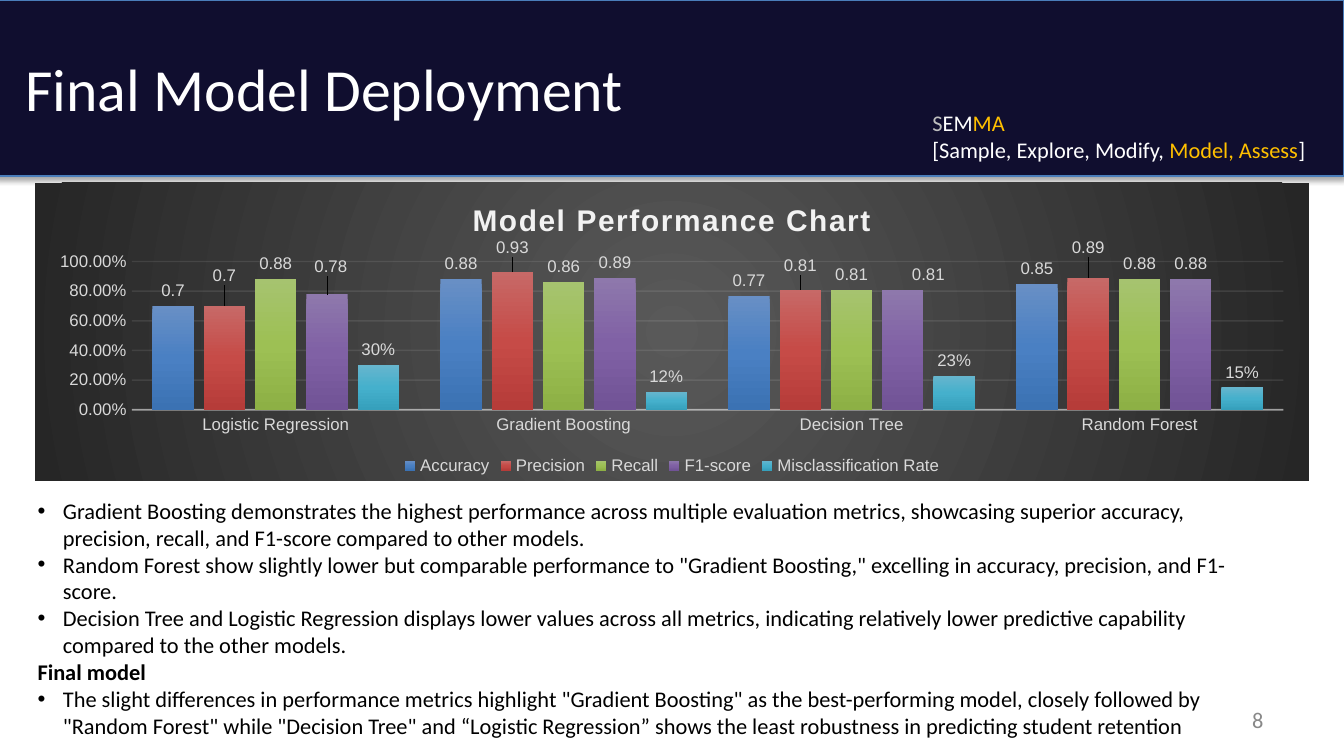
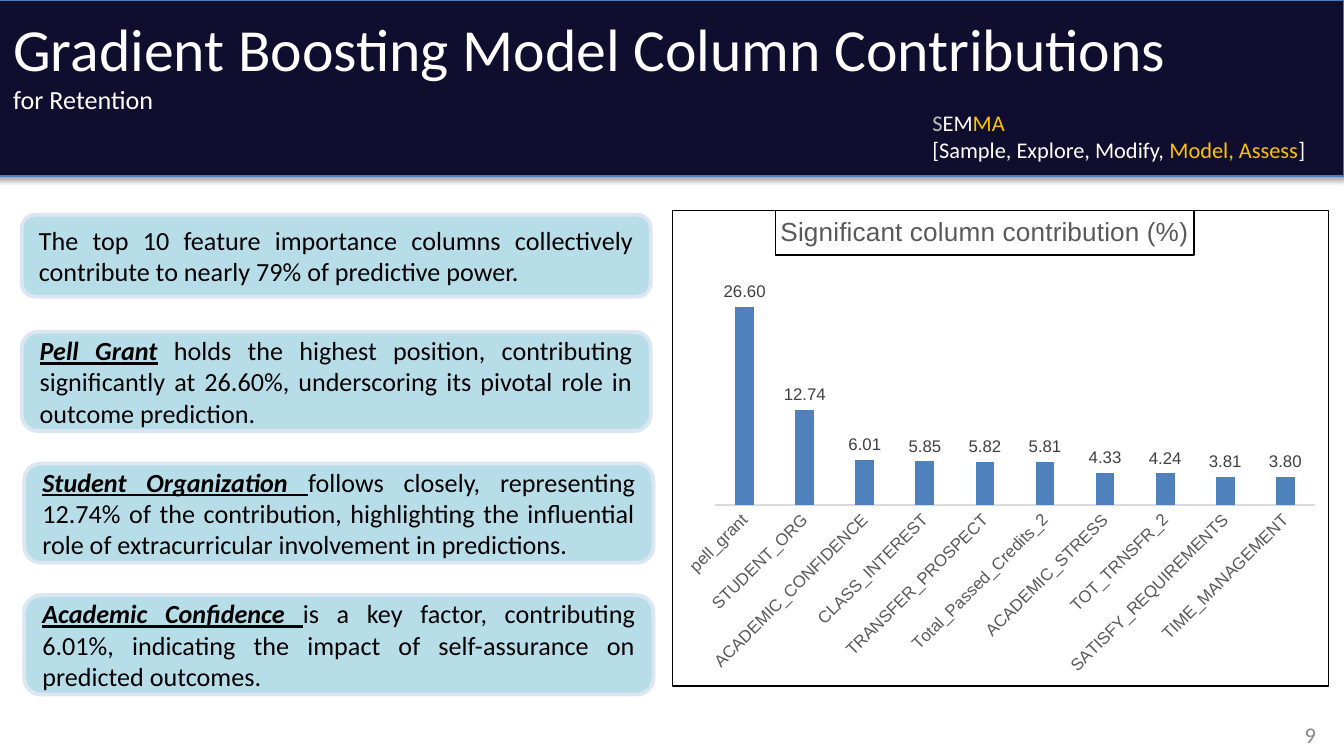
from pptx import Presentation
from pptx.chart.data import CategoryChartData
from pptx.dml.color import RGBColor
from pptx.enum.chart import XL_CHART_TYPE, XL_LABEL_POSITION, XL_LEGEND_POSITION, XL_TICK_MARK
from pptx.enum.shapes import MSO_SHAPE
from pptx.enum.text import MSO_ANCHOR, PP_ALIGN
from pptx.oxml import parse_xml
from pptx.oxml.ns import nsdecls
from pptx.util import Cm, Pt

COLUMNS = XL_CHART_TYPE.COLUMN_CLUSTERED
OUTSIDE_END = XL_LABEL_POSITION.OUTSIDE_END
LEGEND_BOTTOM = XL_LEGEND_POSITION.BOTTOM
NO_TICK = XL_TICK_MARK.NONE
RECTANGLE = MSO_SHAPE.RECTANGLE
ROUNDED = MSO_SHAPE.ROUNDED_RECTANGLE
TOP, MIDDLE = MSO_ANCHOR.TOP, MSO_ANCHOR.MIDDLE
LEFT, RIGHT, JUSTIFY = PP_ALIGN.LEFT, PP_ALIGN.RIGHT, PP_ALIGN.JUSTIFY

NAVY = RGBColor(0x10, 0x0E, 0x2F)
BAND_EDGE = RGBColor(0x4A, 0x7D, 0xBA)
WHITE = RGBColor(0xFF, 0xFF, 0xFF)
BLACK = RGBColor(0x00, 0x00, 0x00)
SILVER = RGBColor(0xBF, 0xBF, 0xBF)
GOLD = RGBColor(0xFF, 0xC0, 0x00)
PAGE_GRAY = RGBColor(0x88, 0x88, 0x88)
CARD_FILL = RGBColor(0xB7, 0xDE, 0xE8)
CARD_EDGE = RGBColor(0xDC, 0xE6, 0xF2)
PALE = RGBColor(0xF2, 0xF2, 0xF2)
LIGHT_GRAY = RGBColor(0xD9, 0xD9, 0xD9)
MID_GRAY = RGBColor(0x59, 0x59, 0x59)
LABEL_GRAY = RGBColor(0x40, 0x40, 0x40)
BAR_BLUE = RGBColor(0x4F, 0x81, 0xBD)

MODELS = ["Logistic Regression", "Gradient Boosting", "Decision Tree", "Random Forest"]
METRICS = [
    ("Accuracy", [0.7, 0.88, 0.77, 0.85], ("688FC5", "4A80C3", "3B72B3")),
    ("Precision", [0.7, 0.93, 0.81, 0.89], ("C76967", "C64B47", "B63C39")),
    ("Recall", [0.88, 0.86, 0.81, 0.88], ("A6C36F", "9DC054", "8DB045")),
    ("F1-score", [0.78, 0.89, 0.81, 0.88], ("8E78AC", "8061A5", "715396")),
    ("Misclassification Rate", [0.3, 0.12, 0.23, 0.15], ("66B5CD", "45B0CC", "36A0BC")),
]
LABEL_SHIFTS = {
    1: {0: (0, -0.05), 1: (0, -0.03), 2: (0, -0.03), 3: (0, -0.05)},
    3: {0: (0.003, -0.04), 2: (0.02, 0)},
}
CONTRIBUTIONS = {
    "pell_grant": 26.6,
    "STUDENT_ORG": 12.74,
    "ACADEMIC_CONFIDENCE": 6.01,
    "CLASS_INTEREST": 5.85,
    "TRANSFER_PROSPECT": 5.82,
    "Total_Passed_Credits_2": 5.81,
    "ACADEMIC_STRESS": 4.33,
    "TOT_TRNSFR_2": 4.24,
    "SATISFY_REQUIREMENTS": 3.81,
    "TIME_MANAGEMENT": 3.8,
}
FINDINGS = [
    "Gradient Boosting demonstrates the highest performance across multiple evaluation metrics, "
    "showcasing superior accuracy, precision, recall, and F1-score compared to other models.",
    "Random Forest show slightly lower but comparable performance to \"Gradient Boosting,\" "
    "excelling in accuracy, precision, and F1-score.",
    "Decision Tree and Logistic Regression displays lower values across all metrics, "
    "indicating relatively lower predictive capability compared to the other models.",
]
CONCLUSION = (
    "The slight differences in performance metrics highlight \"Gradient Boosting\" as the "
    "best-performing model, closely followed by \"Random Forest\" while \"Decision Tree\" and "
    "“Logistic Regression” shows the least robustness in predicting student retention"
)
CARDS = [
    (0.41, 6.27, "Pell Grant", " holds the highest position, contributing significantly at "
     "26.60%, underscoring its pivotal role in outcome prediction."),
    (0.46, 8.76, "Student Organization ", "follows closely, representing 12.74% of the "
     "contribution, highlighting the influential role of extracurricular involvement in predictions."),
    (0.46, 11.25, "Academic Confidence ", "is a key factor, contributing 6.01%, indicating "
     "the impact of self-assurance on predicted outcomes."),
]


def format_font(font, size, color, name="Calibri", bold=False):
    font.name = name
    font.size = Pt(size)
    font.bold = bold
    font.color.rgb = color


def add_run(paragraph, text, size=12, color=BLACK, bold=False, emphasis=False):
    run = paragraph.add_run()
    run.text = text
    format_font(run.font, size, color, bold=bold or emphasis)
    run.font.italic = run.font.underline = emphasis


def next_paragraph(frame, alignment=LEFT, bullet=False):
    paragraph = frame.paragraphs[0]
    if paragraph.runs:
        paragraph = frame.add_paragraph()
    paragraph.alignment = alignment
    if bullet:
        properties = paragraph._p.get_or_add_pPr()
        properties.set("marL", str(Cm(0.48)))
        properties.set("indent", str(-Cm(0.48)))
        properties.append(parse_xml(f'<a:buFont {nsdecls("a")} typeface="Arial"/>'))
        properties.append(parse_xml(f'<a:buChar {nsdecls("a")} char="•"/>'))
    return paragraph


def add_text_frame(slide, left, top, width, height, anchor=MIDDLE):
    box = slide.shapes.add_textbox(Cm(left), Cm(top), Cm(width), Cm(height))
    box.text_frame.word_wrap = True
    box.text_frame.vertical_anchor = anchor
    return box.text_frame


def add_panel(slide, kind, left, top, width, height, fill, edge, weight):
    shape = slide.shapes.add_shape(kind, Cm(left), Cm(top), Cm(width), Cm(height))
    shape.shadow.inherit = False
    shape.fill.solid()
    shape.fill.fore_color.rgb = fill
    shape.line.color.rgb = edge
    shape.line.width = Pt(weight)
    return shape


def add_band(slide):
    band = add_panel(slide, RECTANGLE, -0.1, 0, 25.5, 3.33, NAVY, BAND_EDGE, 0.75)
    effects = band._element.spPr.xpath("a:effectLst")[0]
    effects.append(parse_xml(
        f'<a:outerShdw {nsdecls("a")} blurRad="{Pt(3.1)}" dist="{Pt(1.8)}" dir="5400000" '
        'rotWithShape="0"><a:srgbClr val="000000"><a:alpha val="34000"/></a:srgbClr></a:outerShdw>'))


def add_process_tag(slide):
    paragraph = next_paragraph(add_text_frame(slide, 17.37, 1.93, 8.03, 1.27))
    for text, color in (("S", SILVER), ("EM", WHITE), ("MA", GOLD)):
        add_run(paragraph, text, color=color)
    paragraph.add_line_break()
    for text, color in (("[Sample, Explore, Modify, ", WHITE), ("Model, Assess", GOLD), ("]", WHITE)):
        add_run(paragraph, text, color=color)


def add_page_number(slide, left, top, number):
    frame = add_text_frame(slide, left, top, 5.92, 0.76)
    add_run(next_paragraph(frame, RIGHT), number, color=PAGE_GRAY)


def add_card(slide, left, top, height, lead, text):
    card = add_panel(slide, ROUNDED, left, top, 11.89, height, CARD_FILL, CARD_EDGE, 2)
    card.text_frame.word_wrap = True
    card.text_frame.vertical_anchor = MIDDLE
    paragraph = next_paragraph(card.text_frame, JUSTIFY)
    if lead:
        add_run(paragraph, lead, size=14, emphasis=True)
    add_run(paragraph, text, size=14)


def gradient(stops, direction):
    marks = "".join(f'<a:gs pos="{position * 1000}"><a:srgbClr val="{color}"/></a:gs>'
                    for position, color in stops)
    return f'<a:gradFill {nsdecls("a")} rotWithShape="1"><a:gsLst>{marks}</a:gsLst>{direction}</a:gradFill>'


def set_layout(parent, index, **values):
    for old_layout in parent.xpath("c:layout"):
        parent.remove(old_layout)
    items = "".join(f'<c:{key} val="{value}"/>' for key, value in values.items())
    parent.insert(index, parse_xml(
        f'<c:layout {nsdecls("c")}><c:manualLayout>{items}</c:manualLayout></c:layout>'))


def set_plot_area(chart, x, y, w, h):
    set_layout(chart.element.xpath("//c:plotArea")[0], 0, layoutTarget="inner",
               xMode="edge", yMode="edge", x=x, y=y, w=w, h=h)


def style_chart_area(chart, fill, line):
    chart.element.xpath("c:chart")[0].addnext(parse_xml(
        f'<c:spPr {nsdecls("c", "a")}>{fill}<a:ln w="{Pt(0.75)}">{line}</a:ln></c:spPr>'))


def set_alpha(chart, parent, percent):
    color = chart.element.xpath(f"//c:{parent}/c:spPr//a:srgbClr")[0]
    color.append(parse_xml(f'<a:alpha {nsdecls("a")} val="{percent * 1000}"/>'))


def add_column_chart(slide, left, top, width, height, categories, series, title, title_size,
                     title_color, title_bold, text_color, label_color, axis_color, gap, overlap):
    data = CategoryChartData()
    data.categories = categories
    for name, values in series:
        data.add_series(name, values)
    chart = slide.shapes.add_chart(COLUMNS, Cm(left), Cm(top), Cm(width), Cm(height), data).chart
    format_font(chart.font, 10, BLACK, "Arial")
    chart.has_legend = False
    chart.has_title = True
    paragraph = chart.chart_title.text_frame.paragraphs[0]
    run = paragraph.add_run()
    run.text = title
    format_font(run.font, title_size, title_color, "Arial", title_bold)

    plot = chart.plots[0]
    plot.gap_width = gap
    plot.overlap = overlap
    plot.vary_by_categories = False
    for column in plot.series:
        column.invert_if_negative = False
        labels = column.data_labels
        labels.show_value = True
        labels.position = OUTSIDE_END
        format_font(labels.font, 9, label_color, "Arial")

    axis = chart.category_axis
    axis.major_tick_mark = NO_TICK
    format_font(axis.tick_labels.font, 9, text_color, "Arial")
    axis.format.line.color.rgb = axis_color
    chart.value_axis.major_tick_mark = NO_TICK
    chart.value_axis.minimum_scale = 0
    return chart


def set_label_format(series, number_format):
    series.data_labels.number_format = number_format
    series.data_labels.number_format_is_linked = False


def add_performance_chart(slide):
    chart = add_column_chart(
        slide, 0.66, 3.45, 24.08, 5.64, MODELS, [metric[:2] for metric in METRICS],
        "Model Performance Chart", 16, PALE, True, LIGHT_GRAY, LIGHT_GRAY, PALE, 100, -24)
    chart.element.xpath("//c:title//a:r/a:rPr")[0].set("spc", "100")
    center = '<a:path path="circle"><a:fillToRect l="50000" t="50000" r="50000" b="50000"/></a:path>'
    style_chart_area(chart, gradient([(0, "595959"), (100, "262626")], center), "<a:noFill/>")
    set_plot_area(chart, 0.076, 0.265, 0.904, 0.497)

    chart.category_axis.format.line.width = Pt(1)
    set_alpha(chart, "catAx", 54)
    axis = chart.value_axis
    axis.maximum_scale = 1
    axis.major_unit = 0.2
    axis.tick_labels.number_format = "0.00%"
    axis.tick_labels.number_format_is_linked = False
    format_font(axis.tick_labels.font, 9, LIGHT_GRAY, "Arial")
    axis.format.line.fill.background()
    axis.major_gridlines.format.line.color.rgb = PALE
    axis.major_gridlines.format.line.width = Pt(0.75)
    set_alpha(chart, "majorGridlines", 10)

    chart.has_legend = True
    chart.legend.position = LEGEND_BOTTOM
    chart.legend.include_in_layout = False
    format_font(chart.legend.font, 9, LIGHT_GRAY, "Arial")

    for index, (series, metric) in enumerate(zip(chart.plots[0].series, METRICS)):
        series.format.fill.solid()
        series.format.fill.fore_color.rgb = BAR_BLUE
        solid = series._element.xpath("c:spPr/a:solidFill")[0]
        fill = gradient(zip((0, 50, 100), metric[2]), '<a:lin ang="5400000" scaled="0"/>')
        solid.getparent().replace(solid, parse_xml(fill))
        for point, (x, y) in LABEL_SHIFTS.get(index, {}).items():
            label = series.points[point].data_label
            label.position = OUTSIDE_END
            format_font(label.font, 9, LIGHT_GRAY, "Arial")
            set_layout(series._element.xpath(f"c:dLbls/c:dLbl[c:idx/@val='{point}']")[0], 1, x=x, y=y)
    set_label_format(chart.plots[0].series[-1], "0%")


def add_contribution_chart(slide):
    chart = add_column_chart(
        slide, 12.7, 3.96, 12.42, 9.02, list(CONTRIBUTIONS), [("Series 1", list(CONTRIBUTIONS.values()))],
        "Significant column contribution (%)", 14, MID_GRAY, False, MID_GRAY, LABEL_GRAY, LIGHT_GRAY, 219, -27)
    style_chart_area(chart, "<a:noFill/>", '<a:solidFill><a:srgbClr val="000000"/></a:solidFill>')
    set_plot_area(chart, 0.064, 0.15, 0.916, 0.47)
    set_layout(chart.element.xpath("//c:title")[0], 1, xMode="edge", yMode="edge", x=0.157, y=0)
    border = chart.chart_title.format.line
    border.color.rgb = BLACK
    border.width = Pt(0.75)
    chart.category_axis.format.line.width = Pt(0.75)
    chart.element.xpath("//c:catAx/c:txPr/a:bodyPr")[0].set("rot", "-2700000")
    chart.value_axis.maximum_scale = 30
    chart.value_axis.has_major_gridlines = False
    chart.value_axis.visible = False
    series = chart.plots[0].series[0]
    series.format.fill.solid()
    series.format.fill.fore_color.rgb = BAR_BLUE
    set_label_format(series, "0.00")


def add_base_slide(presentation):
    slide = presentation.slides.add_slide(presentation.slide_layouts[6])
    add_band(slide)
    add_process_tag(slide)
    return slide


def build_deployment_slide(presentation):
    slide = add_base_slide(presentation)
    title = add_text_frame(slide, 0.23, 0.46, 22.86, 2.39)
    add_run(next_paragraph(title), "Final Model Deployment", size=32, color=WHITE)
    add_page_number(slide, 18.21, 13.23, "8")
    body = add_text_frame(slide, 0.46, 9.27, 23.67, 4.88, TOP)
    for finding in FINDINGS:
        add_run(next_paragraph(body, bullet=True), finding)
    add_run(next_paragraph(body), "Final model", bold=True)
    add_run(next_paragraph(body, bullet=True), CONCLUSION)
    add_performance_chart(slide)


def build_contribution_slide(presentation):
    slide = add_base_slide(presentation)
    title = add_text_frame(slide, 0, 0.1, 24.79, 2.24, TOP)
    add_run(next_paragraph(title), "Gradient Boosting Model Column Contributions", size=32, color=WHITE)
    add_run(next_paragraph(title), "for Retention", size=14, color=WHITE)
    add_page_number(slide, 19.2, 13.51, "9")
    add_card(slide, 0.41, 4.06, 1.55, "", "The top 10 feature importance columns collectively "
             "contribute to nearly 79% of predictive power.")
    for left, top, lead, text in CARDS:
        add_card(slide, left, top, 1.88, lead, text)
    add_contribution_chart(slide)


def main():
    presentation = Presentation()
    presentation.slide_width = Cm(25.4)
    presentation.slide_height = Cm(14.29)
    build_deployment_slide(presentation)
    build_contribution_slide(presentation)
    presentation.save("out.pptx")


if __name__ == "__main__":
    main()
